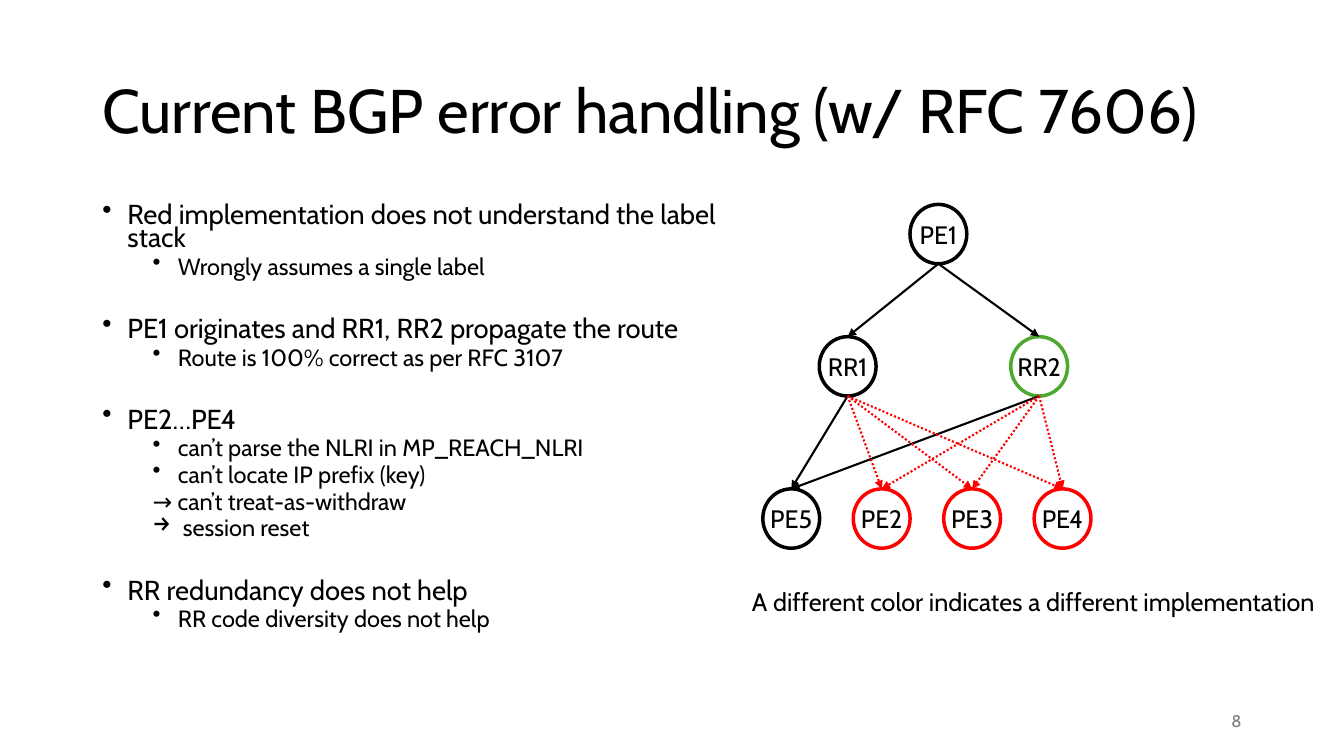
from dataclasses import dataclass

import lxml.etree
import pptx
import pptx.dml.color
import pptx.enum.dml
import pptx.enum.shapes
import pptx.enum.text
import pptx.oxml
import pptx.oxml.ns
import pptx.slide
import pptx.text.text
import pptx.util

Pt = pptx.util.Pt
ALIGN = pptx.enum.text.PP_ALIGN
ANCHOR = pptx.enum.text.MSO_ANCHOR

BLACK = pptx.dml.color.RGBColor(0x00, 0x00, 0x00)
RED = pptx.dml.color.RGBColor(0xFF, 0x00, 0x00)
GREEN = pptx.dml.color.RGBColor(0x4E, 0xA7, 0x2E)
GREY = pptx.dml.color.RGBColor(0x79, 0x79, 0x79)

FONT = "Cabin"
ROUTER_WIDTH = 40.6
ROUTER_HEIGHT = 42.4
REFLECTOR_TOP = 240.5
EDGE_TOP = 349.2
EDGE_LEFT = 565.2
EDGE_PITCH = 64.6


@dataclass(frozen=True)
class Router:
    name: str
    center: float
    top: float
    color: pptx.dml.color.RGBColor


@dataclass(frozen=True)
class Level:
    margin: float
    indent: float
    size: float
    space_before: float
    bullet: str = ""


@dataclass(frozen=True)
class Point:
    text: str
    level: Level


@dataclass(frozen=True)
class Label:
    text: str
    left: float
    top: float
    width: float
    height: float
    size: float
    color: pptx.dml.color.RGBColor = BLACK
    anchor: ANCHOR = ANCHOR.MIDDLE
    align: ALIGN = ALIGN.LEFT
    wrap: bool = True
    line_spacing: float = 1.0


TOPIC = Level(18, -18, 19.6, 29.2, "•")
DETAIL = Level(54, -18, 16.8, 5, "•")
RESULT = Level(36, 0, 16.8, 5)
OUTCOME = Level(57.6, -21.6, 16.8, 5, "→")

POINTS = [
    Point("Red implementation does not understand the label stack", TOPIC),
    Point("Wrongly assumes a single label", DETAIL),
    Point("PE1 originates and RR1, RR2 propagate the route", TOPIC),
    Point("Route is 100% correct as per RFC 3107", DETAIL),
    Point("PE2…PE4", TOPIC),
    Point("can’t parse the NLRI in MP_REACH_NLRI", DETAIL),
    Point("can’t locate IP prefix (key)", DETAIL),
    Point("→ can’t treat-as-withdraw", RESULT),
    Point("session reset", OUTCOME),
    Point("RR redundancy does not help", TOPIC),
    Point("RR code diversity does not help", DETAIL),
]

LABELS = [
    Label("Current BGP error handling (w/ RFC 7606)", 66, 28.75, 828, 104.4, 44,
          line_spacing=0.9),
    Label("A different color indicates a different implementation",
          530, 415.5, 426, 29, 18, anchor=ANCHOR.TOP, wrap=False),
    Label("8", 678, 500.5, 216, 28.75, 12, GREY, align=ALIGN.RIGHT),
]

ORIGIN = Router("PE1", 670.3, 146, BLACK)
REFLECTORS = [
    Router("RR1", 605.5, REFLECTOR_TOP, BLACK),
    Router("RR2", 742.3, REFLECTOR_TOP, GREEN),
]
EDGES = [
    Router(name, EDGE_LEFT + EDGE_PITCH * column, EDGE_TOP, color)
    for column, (name, color) in enumerate(
        [("PE5", BLACK), ("PE2", RED), ("PE3", RED), ("PE4", RED)])
]


def style_run(paragraph: pptx.text.text._Paragraph, size: float,
              color: pptx.dml.color.RGBColor) -> None:
    for run in paragraph.runs:
        run.font.name = FONT
        run.font.size = Pt(size)
        run.font.color.rgb = color


def draw_label(slide: pptx.slide.Slide, label: Label) -> None:
    box = slide.shapes.add_textbox(
        Pt(label.left), Pt(label.top), Pt(label.width), Pt(label.height))
    frame = box.text_frame
    frame.word_wrap = label.wrap
    frame.vertical_anchor = label.anchor
    frame.text = label.text
    paragraph = frame.paragraphs[0]
    paragraph.alignment = label.align
    paragraph.line_spacing = label.line_spacing
    style_run(paragraph, label.size, label.color)


def draw_points(slide: pptx.slide.Slide, points: list[Point]) -> None:
    box = slide.shapes.add_textbox(Pt(66), Pt(144), Pt(471), Pt(342.7))
    frame = box.text_frame
    frame.word_wrap = True
    for index, point in enumerate(points):
        level = point.level
        paragraph = frame.add_paragraph() if index else frame.paragraphs[0]
        paragraph.text = point.text
        paragraph.level = 0 if level is TOPIC else 1
        paragraph.line_spacing = 0.7
        paragraph.space_before = Pt(level.space_before if index else 0)
        properties = paragraph._p.get_or_add_pPr()
        properties.set("marL", str(Pt(level.margin)))
        properties.set("indent", str(Pt(level.indent)))
        if level.bullet:
            bullet = lxml.etree.SubElement(properties, pptx.oxml.ns.qn("a:buChar"))
            bullet.set("char", level.bullet)
        else:
            lxml.etree.SubElement(properties, pptx.oxml.ns.qn("a:buNone"))
        style_run(paragraph, level.size, BLACK)


def draw_router(slide: pptx.slide.Slide, router: Router) -> None:
    circle = slide.shapes.add_shape(
        pptx.enum.shapes.MSO_SHAPE.OVAL,
        Pt(router.center - ROUTER_WIDTH / 2), Pt(router.top),
        Pt(ROUTER_WIDTH), Pt(ROUTER_HEIGHT))
    circle.shadow.inherit = False
    circle.fill.background()
    circle.line.color.rgb = router.color
    circle.line.width = Pt(2.5)
    frame = circle.text_frame
    frame.margin_left = frame.margin_right = 0
    frame.margin_top = frame.margin_bottom = Pt(3)
    frame.word_wrap = False
    frame.vertical_anchor = ANCHOR.MIDDLE
    frame.text = router.name
    frame.paragraphs[0].alignment = ALIGN.CENTER
    style_run(frame.paragraphs[0], 18, BLACK)


def draw_session(slide: pptx.slide.Slide, sender: Router, receiver: Router) -> None:
    arrow = slide.shapes.add_connector(
        pptx.enum.shapes.MSO_CONNECTOR.STRAIGHT,
        Pt(sender.center), Pt(sender.top + ROUTER_HEIGHT),
        Pt(receiver.center), Pt(receiver.top))
    fails = receiver.color == RED
    arrow.line.color.rgb = RED if fails else BLACK
    arrow.line.width = Pt(1.5)
    if fails:
        arrow.line.dash_style = pptx.enum.dml.MSO_LINE.ROUND_DOT
    head = lxml.etree.SubElement(
        arrow.line._get_or_add_ln(), pptx.oxml.ns.qn("a:tailEnd"))
    head.set("type", "triangle")
    lxml.etree.SubElement(arrow._element.spPr, pptx.oxml.ns.qn("a:effectLst"))


def main() -> None:
    presentation = pptx.Presentation()
    presentation.slide_width = Pt(960)
    presentation.slide_height = Pt(540)
    slide = presentation.slides.add_slide(presentation.slide_layouts[6])
    for router in [ORIGIN, *REFLECTORS, *EDGES]:
        draw_router(slide, router)
    for reflector in REFLECTORS:
        draw_session(slide, ORIGIN, reflector)
    for edge in EDGES:
        for reflector in REFLECTORS:
            draw_session(slide, reflector, edge)
    draw_points(slide, POINTS)
    for label in LABELS:
        draw_label(slide, label)
    presentation.save("out.pptx")


if __name__ == "__main__":
    main()
